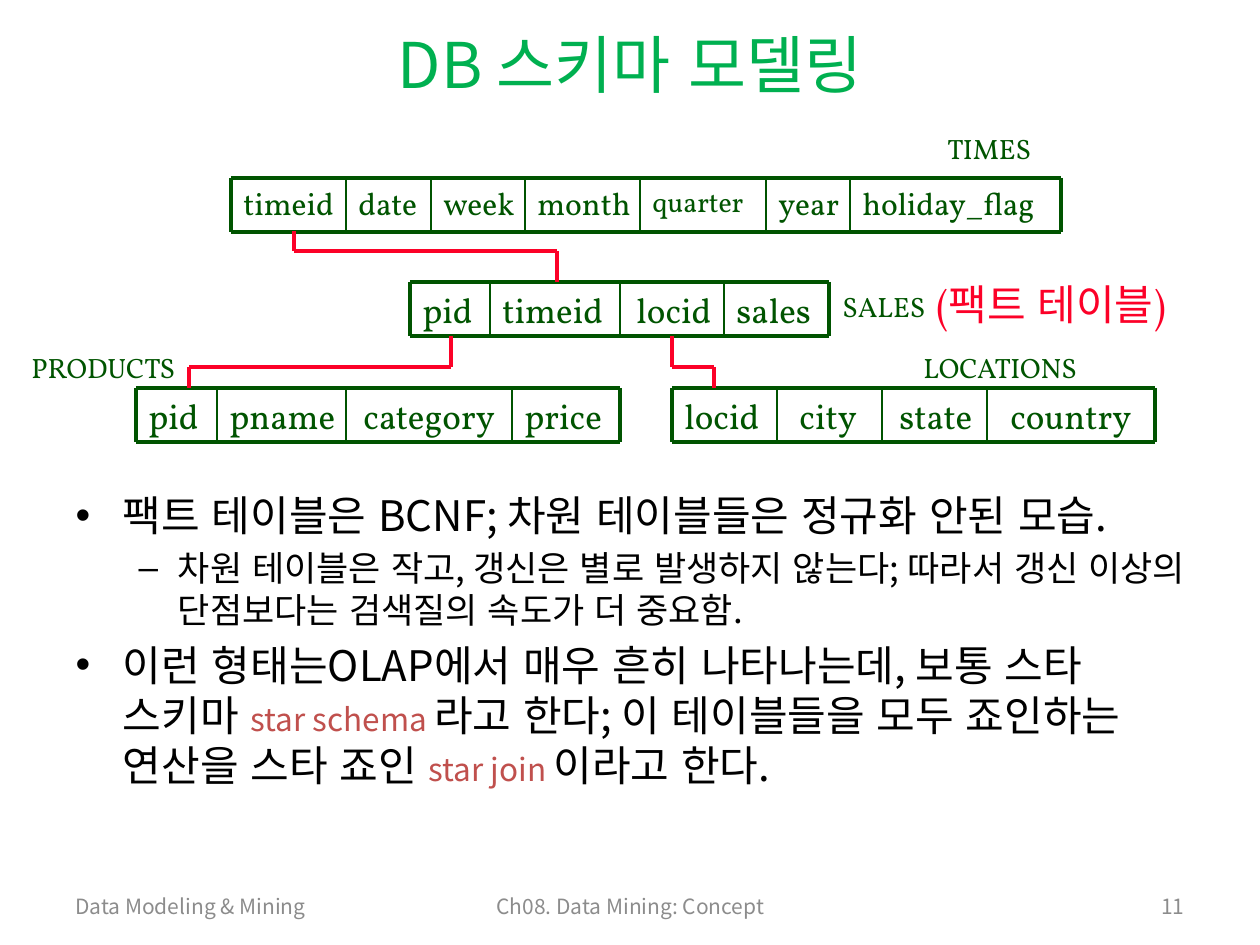
from dataclasses import dataclass
from itertools import pairwise

from lxml import etree
from pptx import Presentation
from pptx.dml.color import RGBColor
from pptx.enum.lang import MSO_LANGUAGE_ID
from pptx.enum.shapes import MSO_CONNECTOR
from pptx.enum.text import MSO_ANCHOR, MSO_AUTO_SIZE, PP_ALIGN
from pptx.oxml.ns import qn
from pptx.slide import Slide
from pptx.text.text import _Paragraph
from pptx.util import Emu, Pt

KOREAN = MSO_LANGUAGE_ID.KOREAN
STRAIGHT = MSO_CONNECTOR.STRAIGHT
TOP, MIDDLE = MSO_ANCHOR.TOP, MSO_ANCHOR.MIDDLE
LEFT, CENTER, RIGHT = PP_ALIGN.LEFT, PP_ALIGN.CENTER, PP_ALIGN.RIGHT
NO_FIT = MSO_AUTO_SIZE.NONE

PIXELS_PER_INCH = 126
SANS, SERIF = "Noto Sans CJK KR", "Vollkorn"
BLACK, GRAY, TITLE_GREEN = "000000", "8C8C8C", "00B050"
DARK_GREEN, RED, TERM_RED = "005400", "FC0128", "C0504D"
ROW_HEIGHT = 54
LABEL_OVERHANG = 20


@dataclass(frozen=True)
class Field:
    name: str
    left: int
    indent: int = 0
    size: int = 20


@dataclass(frozen=True)
class Relation:
    top: int
    right: int
    fields: tuple[Field, ...]


@dataclass(frozen=True)
class Label:
    text: str
    left: int
    top: int
    width: int
    height: int
    size: int = 16
    color: str = DARK_GREEN
    font: str = SERIF
    align: PP_ALIGN = LEFT
    anchor: MSO_ANCHOR = TOP


@dataclass(frozen=True)
class Span:
    text: str
    size: int
    color: str = BLACK


@dataclass(frozen=True)
class Bullet:
    level: int
    spans: tuple[Span, ...]


RELATIONS = (
    Relation(178, 1061, (
        Field("timeid", 231, size=18), Field("date", 346, size=18),
        Field("week", 431, size=18), Field("month", 525, size=18),
        Field("quarter", 640, size=16), Field("year", 766, size=18),
        Field("holiday_flag", 850, size=18))),
    Relation(282, 829, (
        Field("pid", 410), Field("timeid", 490),
        Field("locid", 620, 4), Field("sales", 724))),
    Relation(388, 620, (
        Field("pid", 136), Field("pname", 217),
        Field("category", 346, 5), Field("price", 512))),
    Relation(388, 1155, (
        Field("locid", 672), Field("city", 777, 10),
        Field("state", 882, 5), Field("country", 987, 11))),
)
KEY_PATHS = (
    ((294, 231), (294, 251), (557, 251), (557, 282)),
    ((189, 388), (189, 367), (451, 367), (451, 336)),
    ((672, 336), (672, 367), (714, 367), (714, 388)),
)
LABELS = (
    Label("TIMES", 935, 125, 120, 47),
    Label("SALES", 830, 283, 120, 47),
    Label("PRODUCTS", 19, 344, 180, 47),
    Label("LOCATIONS", 911, 344, 190, 47),
    Label("(팩트 테이블)", 924, 272, 290, 64, 24, RED),
    Label("Data Modeling & Mining", 63, 886, 294, 40, 12, GRAY, SANS, LEFT, MIDDLE),
    Label("Ch08. Data Mining: Concept", 431, 886, 399, 40, 12, GRAY, SANS, CENTER, MIDDLE),
    Label("11", 1126, 886, 71, 40, 12, GRAY, SANS, RIGHT, MIDDLE),
)
BULLETS = (
    Bullet(0, (Span("팩트 테이블은 BCNF; 차원 테이블들은 정규화 안된 모습.", 24),)),
    Bullet(1, (Span("차원 테이블은 작고, 갱신은 별로 발생하지 않는다; 따라서 갱신 "
                    "이상의 단점보다는 검색질의 속도가 더 중요함.", 20),)),
    Bullet(0, (
        Span("이런 형태는OLAP에서 매우 흔히 나타나는데, 보통 스타 스키마 ", 24),
        Span("star schema ", 18, TERM_RED),
        Span("라고 한다; 이 테이블들을 모두 죠인하는 연산을 스타 죠인 ", 24),
        Span("star join ", 18, TERM_RED),
        Span("이라고 한다.", 24))),
)


def px(length: int) -> Emu:
    return Emu(round(length * 914400 / PIXELS_PER_INCH))


def rgb(color: str) -> RGBColor:
    return RGBColor.from_string(color)


def add_run(paragraph: _Paragraph, span: Span, font: str) -> None:
    run = paragraph.add_run()
    run.text = span.text
    run.font.size = Pt(span.size)
    run.font.name = font
    run.font.language_id = KOREAN
    run.font.color.rgb = rgb(span.color)
    east_asian = etree.SubElement(run.font._element, qn("a:ea"))
    east_asian.set("typeface", SANS)


def place(shape, left: int, top: int, width: int, height: int) -> None:
    shape.left, shape.top = px(left), px(top)
    shape.width, shape.height = px(width), px(height)


def add_label(slide: Slide, label: Label) -> None:
    shape = slide.shapes.add_textbox(
        px(label.left), px(label.top), px(label.width), px(label.height))
    frame = shape.text_frame
    frame.word_wrap = True
    frame.vertical_anchor = label.anchor
    paragraph = frame.paragraphs[0]
    paragraph.alignment = label.align
    add_run(paragraph, Span(label.text, label.size, label.color), label.font)


def add_line(slide: Slide, start: tuple[int, int], end: tuple[int, int],
             color: str, weight: int) -> None:
    connector = slide.shapes.add_connector(
        STRAIGHT, px(start[0]), px(start[1]), px(end[0]), px(end[1]))
    connector.line.color.rgb = rgb(color)
    connector.line.width = Pt(weight)
    etree.SubElement(connector._element.spPr, qn("a:effectLst"))


def add_relation(slide: Slide, relation: Relation) -> None:
    top, bottom = relation.top, relation.top + ROW_HEIGHT
    edges = [field.left for field in relation.fields] + [relation.right]
    for field, (left, right) in zip(relation.fields, pairwise(edges)):
        width = right - left - field.indent + LABEL_OVERHANG
        add_label(slide, Label(field.name, left + field.indent, top, width,
                               ROW_HEIGHT, field.size))
    for y in (top, bottom):
        add_line(slide, (edges[0], y), (edges[-1], y), DARK_GREEN, 2)
    for x in edges:
        weight = 2 if x in (edges[0], edges[-1]) else 1
        add_line(slide, (x, top), (x, bottom), DARK_GREEN, weight)


def fill_title(slide: Slide) -> None:
    title = slide.shapes.title
    place(title, 63, 20, 1134, 86)
    title.text_frame.auto_size = NO_FIT
    title.text_frame.vertical_anchor = MIDDLE
    paragraph = title.text_frame.paragraphs[0]
    paragraph.alignment = CENTER
    add_run(paragraph, Span("DB 스키마 모델링", 36, TITLE_GREEN), SANS)


def fill_body(slide: Slide) -> None:
    body = slide.placeholders[1]
    place(body, 63, 483, 1144, 388)
    frame = body.text_frame
    frame.auto_size = NO_FIT
    for index, bullet in enumerate(BULLETS):
        paragraph = frame.add_paragraph() if index else frame.paragraphs[0]
        paragraph.level = bullet.level
        if not index:
            paragraph.space_before = Pt(0)
        for span in bullet.spans:
            add_run(paragraph, span, SANS)


def main() -> None:
    presentation = Presentation()
    presentation.slide_width, presentation.slide_height = px(1260), px(945)
    slide = presentation.slides.add_slide(presentation.slide_layouts[1])
    fill_title(slide)
    fill_body(slide)
    for relation in RELATIONS:
        add_relation(slide, relation)
    for path in KEY_PATHS:
        for start, end in pairwise(path):
            add_line(slide, start, end, RED, 2)
    for label in LABELS:
        add_label(slide, label)
    presentation.save("out.pptx")


if __name__ == "__main__":
    main()
